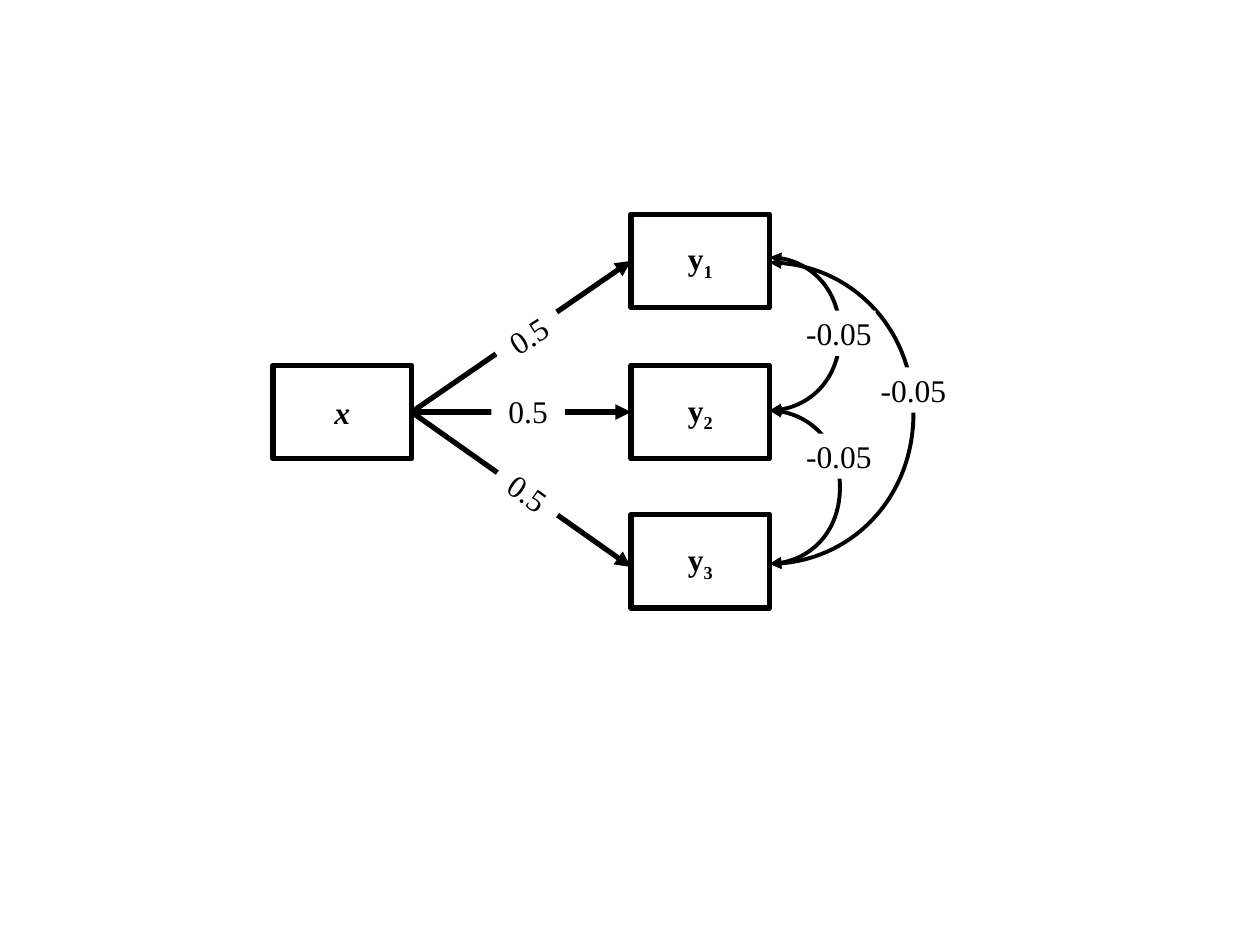
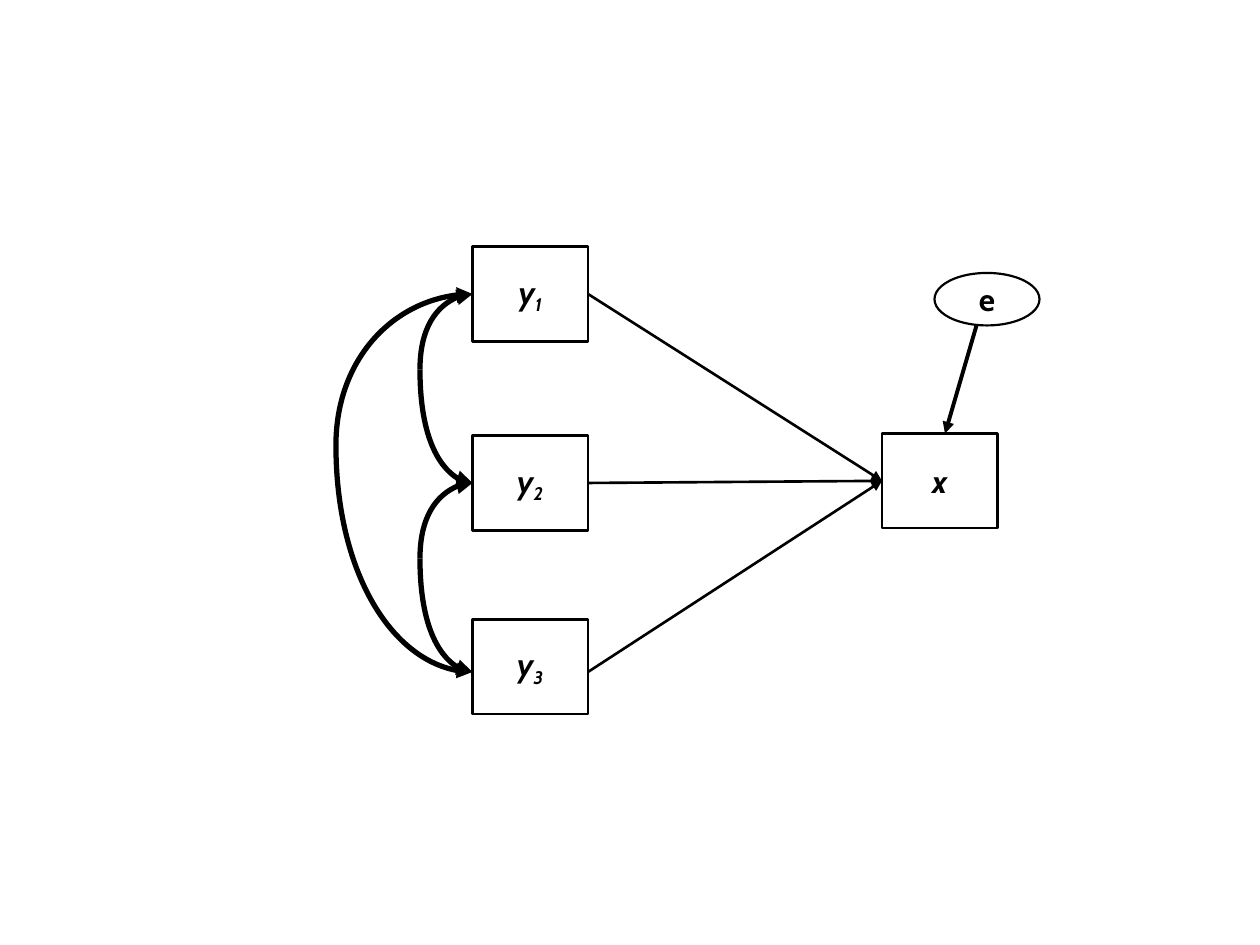
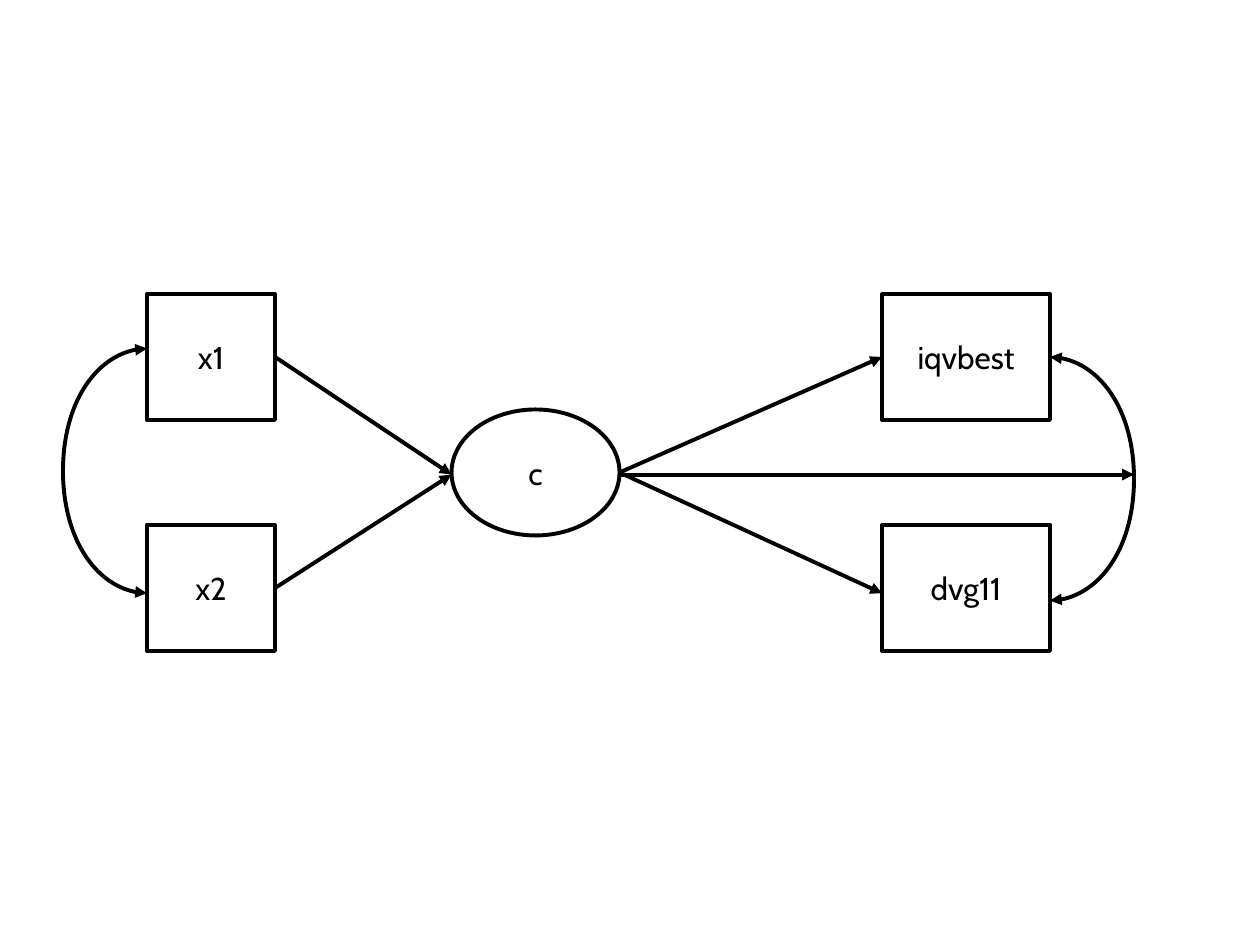
from dataclasses import dataclass, field
from typing import Optional, Union

from lxml.etree import SubElement
from pptx import Presentation
from pptx.dml.color import RGBColor
from pptx.enum.shapes import MSO_CONNECTOR, MSO_SHAPE
from pptx.enum.text import MSO_ANCHOR, PP_ALIGN
from pptx.oxml.ns import qn
from pptx.util import Inches, Pt

INK = RGBColor(0x00, 0x00, 0x00)
PAPER = RGBColor(0xFF, 0xFF, 0xFF)
SERIF, SANS = "Times New Roman", "Cabin"
TEXT_SIZE = 18

# The grid: 120 columns by 90 rows over the whole slide
SLIDE_WIDTH, SLIDE_HEIGHT = Inches(10), Inches(7.5)
COLUMNS, ROWS = 120, 90
QUARTER = 0.55  # control point share for a quarter of an ellipse
LEFT, RIGHT = 1, 3  # connection sites of a rectangle


@dataclass(frozen=True)
class Node:
    """A variable in the path diagram."""
    label: str
    col: float
    row: float
    cols: float
    rows: float
    subscript: str = ""
    oval: bool = False
    line: float = 2.25
    font: str = SANS
    bold: bool = False
    italic: bool = False


@dataclass(frozen=True)
class Point:
    col: float
    row: float


@dataclass(frozen=True)
class Side:
    """The middle of one side of a named rectangle."""
    node: str
    site: int


@dataclass(frozen=True)
class Arrow:
    start: Union[Point, Side]
    end: Union[Point, Side]
    line: float = 2.25


@dataclass(frozen=True)
class Bow:
    """A curved double-headed arrow between two rows of one column."""
    tip_col: float
    top: float
    bottom: float
    belly_col: float
    belly_share: float = 0.5
    line: float = 2.25


@dataclass(frozen=True)
class Weight:
    """A coefficient that interrupts an arrow."""
    value: str
    col: float
    row: float
    rows: float = 4.3
    turn: float = 0


@dataclass(frozen=True)
class Diagram:
    nodes: list[Node]
    arrows: list[Arrow]
    bows: list[Bow]
    weights: list[Weight] = field(default_factory=list)


def x(col: float) -> int:
    return round(SLIDE_WIDTH * col / COLUMNS)


def y(row: float) -> int:
    return round(SLIDE_HEIGHT * row / ROWS)


def write(shape, text: str, *, subscript: str = "", font: str = SANS,
          bold: bool = False, italic: bool = False) -> None:
    frame = shape.text_frame
    frame.word_wrap = False
    frame.vertical_anchor = MSO_ANCHOR.MIDDLE
    paragraph = frame.paragraphs[0]
    paragraph.alignment = PP_ALIGN.CENTER
    for part, baseline in ((text, None), (subscript, "-25000")):
        if not part:
            continue
        run = paragraph.add_run()
        run.text = part
        run.font.name, run.font.size = font, Pt(TEXT_SIZE)
        run.font.bold, run.font.italic = bold, italic
        run.font.color.rgb = INK
        if baseline:
            run._r.get_or_add_rPr().set("baseline", baseline)


def ink_line(shape, width: float, arrowhead: Optional[str] = None) -> None:
    shape.line.color.rgb = INK
    shape.line.width = Pt(width)
    if arrowhead:
        SubElement(shape.line._get_or_add_ln(), qn(f"a:{arrowhead}"), type="triangle")


def draw_node(slide, node: Node):
    outline = MSO_SHAPE.OVAL if node.oval else MSO_SHAPE.RECTANGLE
    shape = slide.shapes.add_shape(outline, x(node.col), y(node.row),
                                   x(node.cols), y(node.rows))
    shape.shadow.inherit = False
    shape.fill.background()
    ink_line(shape, node.line)
    write(shape, node.label, subscript=node.subscript, font=node.font,
          bold=node.bold, italic=node.italic)
    return shape


def draw_arrow(slide, arrow: Arrow, drawn: dict) -> None:
    ends = [(x(end.col), y(end.row)) if isinstance(end, Point) else (0, 0)
            for end in (arrow.start, arrow.end)]
    connector = slide.shapes.add_connector(MSO_CONNECTOR.STRAIGHT, *ends[0], *ends[1])
    for end, join in ((arrow.start, connector.begin_connect),
                      (arrow.end, connector.end_connect)):
        if isinstance(end, Side):
            join(drawn[end.node], end.site)
    ink_line(connector, arrow.line, "tailEnd")
    SubElement(connector._element.spPr, qn("a:effectLst"))


def draw_bow(slide, bow: Bow) -> None:
    group = slide.shapes.add_group_shape()
    belly_row = bow.top + bow.belly_share * (bow.bottom - bow.top)
    bend_col = bow.tip_col + QUARTER * (bow.belly_col - bow.tip_col)
    for tip_row in (bow.top, bow.bottom):
        bend_row = belly_row + QUARTER * (tip_row - belly_row)
        builder = group.shapes.build_freeform(x(bow.tip_col), y(tip_row))
        builder.add_line_segments([(x(bend_col), y(tip_row)),
                                   (x(bow.belly_col), y(bend_row)),
                                   (x(bow.belly_col), y(belly_row))], close=False)
        half = builder.convert_to_shape()
        # Turn the three segments into one Bézier curve
        outline = half._element.find(f".//{qn('a:path')}")
        segments = outline.findall(qn("a:lnTo"))
        curve = SubElement(outline, qn("a:cubicBezTo"))
        for segment in segments:
            curve.append(segment[0])
            outline.remove(segment)
        half.shadow.inherit = False
        half.fill.background()
        ink_line(half, bow.line, "headEnd")


def draw_weight(slide, weight: Weight) -> None:
    patch = slide.shapes.add_shape(MSO_SHAPE.RECTANGLE, x(weight.col), y(weight.row),
                                   x(7), y(weight.rows))
    patch.shadow.inherit = False
    patch.fill.solid()
    patch.fill.fore_color.rgb = PAPER
    patch.line.fill.background()
    patch.rotation = weight.turn
    write(patch, weight.value, font=SERIF)


def draw_diagram(slide, diagram: Diagram) -> None:
    drawn = {node.label + node.subscript: draw_node(slide, node)
             for node in diagram.nodes}
    for arrow in diagram.arrows:
        draw_arrow(slide, arrow, drawn)
    for bow in diagram.bows:
        draw_bow(slide, bow)
    for weight in diagram.weights:
        draw_weight(slide, weight)


# Slide 1: x predicts three correlated outcomes
outcome_size = dict(cols=13.2, rows=8.9, line=3, font=SERIF, bold=True)
PREDICTOR = Diagram(
    nodes=[Node("x", 26, 34.8, italic=True, **outcome_size)]
    + [Node("y", 60.1, row, subscript=number, **outcome_size)
       for number, row in (("1", 20.4), ("2", 34.8), ("3", 49))],
    arrows=[Arrow(Side("x", RIGHT), end, line=3)
            for end in (Side("y2", LEFT), Side("y1", LEFT), Point(60.1, 54))],
    bows=[Bow(73.3, 24.5, 39.1, 80), Bow(73.3, 39.1, 53.7, 80),
          Bow(73.3, 25, 53.7, 87)],
    weights=[Weight("0.5", 46.8, 44.3, rows=5.3, turn=35.5),
             Weight("0.5", 46.8, 29.3, rows=5.3, turn=327.2),
             Weight("0.5", 46.8, 37),
             Weight("-0.05", 76.4, 29.6), Weight("-0.05", 76.4, 41.3),
             Weight("-0.05", 83.5, 35)],
)

# Slide 2: three correlated variables predict x, with an error term
cause_size = dict(cols=11, rows=9, line=1.5, bold=True, italic=True)
REGRESSION = Diagram(
    nodes=[Node("x", 84, 41.3, **cause_size)]
    + [Node("y", 45, row, subscript=number, **cause_size)
       for number, row in (("1", 23.5), ("2", 41.5), ("3", 59))]
    + [Node("e", 89, 26, 10, 5, oval=True, line=1.25, bold=True)],
    arrows=[Arrow(start, Side("x", LEFT), line=1.5)
            for start in (Side("y1", RIGHT), Side("y2", RIGHT), Point(56, 64))]
    + [Arrow(Point(93, 31), Point(90, 41.3))],
    bows=[Bow(45, top, bottom, belly, belly_share=0.4, line=3)
          for top, bottom, belly in ((28, 46, 40), (46, 64, 40), (28, 64, 32))],
)

# Slide 3: a latent class between two covariates and two outcomes
UPPER, LOWER = 28, 50
LATENT_CLASS = Diagram(
    nodes=[Node("c", 43, 39, 16, 12, oval=True),
           Node("iqvbest", 84, UPPER, 16, 12), Node("dvg11", 84, LOWER, 16, 12),
           Node("x1", 14, UPPER, 12.2, 12), Node("x2", 14, LOWER, 12.2, 12)],
    arrows=[Arrow(Point(59, 45), Side("iqvbest", LEFT)),
            Arrow(Point(59, 45), Point(84, 56.5)),
            Arrow(Point(59, 45.2), Point(108, 45.2)),
            Arrow(Side("x2", RIGHT), Point(43, 45.2)),
            Arrow(Side("x1", RIGHT), Point(43, 45.2))],
    bows=[Bow(100, 34, 57.2, 108), Bow(14, 33.2, 56.5, 6)],
)


def main() -> None:
    deck = Presentation()
    deck.slide_width, deck.slide_height = SLIDE_WIDTH, SLIDE_HEIGHT
    blank = deck.slide_layouts[6]
    for diagram in (PREDICTOR, REGRESSION, LATENT_CLASS):
        draw_diagram(deck.slides.add_slide(blank), diagram)
    deck.save("out.pptx")


if __name__ == "__main__":
    main()
